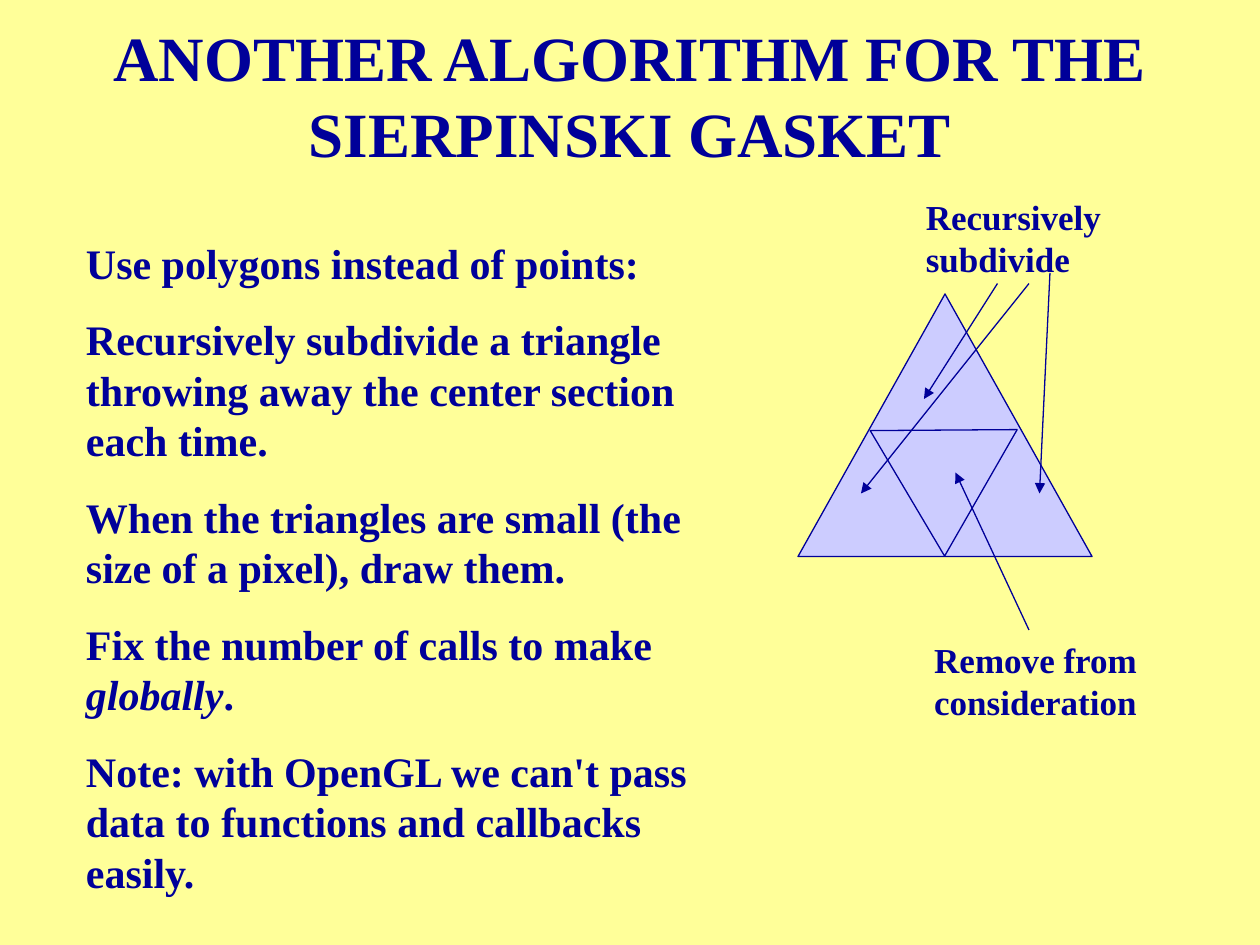
from dataclasses import dataclass

from lxml.etree import SubElement
from pptx import Presentation
from pptx.dml.color import RGBColor
from pptx.enum.shapes import MSO_CONNECTOR, MSO_SHAPE
from pptx.enum.text import MSO_ANCHOR, PP_ALIGN
from pptx.oxml.ns import qn
from pptx.util import Pt


@dataclass(frozen=True)
class Theme:
    background: RGBColor = RGBColor(0xFF, 0xFF, 0x99)
    ink: RGBColor = RGBColor(0x00, 0x00, 0x99)
    triangle: RGBColor = RGBColor(0xCC, 0xCC, 0xFF)
    font: str = "Times New Roman"
    title: float = 36
    body: float = 24
    label: float = 20
    line: float = 0.75


@dataclass(frozen=True)
class TextBlock:
    left: float
    top: float
    width: float
    height: float
    size: float
    paragraphs: tuple[str, ...]  # *asterisks* enclose italics
    gap: float = 0
    align: PP_ALIGN = PP_ALIGN.LEFT
    anchor: MSO_ANCHOR = MSO_ANCHOR.TOP
    wrap: bool = True


@dataclass(frozen=True)
class Triangle:
    left: float
    top: float
    width: float
    height: float
    rotation: float = 0


@dataclass(frozen=True)
class Arrow:
    x1: float
    y1: float
    x2: float
    y2: float


THEME = Theme()

TITLE = TextBlock(54, 18, 612, 72, THEME.title,
                  ("ANOTHER ALGORITHM FOR THE SIERPINSKI GASKET",),
                  align=PP_ALIGN.CENTER, anchor=MSO_ANCHOR.MIDDLE)
BODY = TextBlock(42, 132, 372, 384.5, THEME.body, (
    "Use polygons instead of points:",
    "Recursively subdivide a triangle throwing away the center section each time.",
    "When the triangles are small (the size of a pixel), draw them.",
    "Fix the number of calls to make *globally*.",
    "Note: with OpenGL we can't pass data to functions and callbacks easily.",
), gap=15)
SUBDIVIDE = TextBlock(522, 108, 144, 55.5, THEME.label, ("Recursively subdivide",))
REMOVE = TextBlock(526.75, 361.5, 135.5, 55.5, THEME.label,
                   ("Remove from", "consideration"), wrap=False)

TRIANGLES = (
    Triangle(456, 168, 168, 150),
    Triangle(497.5, 245.75, 84, 72, rotation=179.6),
)
SUBDIVIDE_ARROWS = (
    Arrow(570, 162, 528, 228),
    Arrow(600, 156, 594, 282),
    Arrow(588, 162, 492, 282),
)
REMOVE_ARROW = Arrow(588, 360, 546, 270)


def add_text(s, block: TextBlock) -> None:
    box = s.shapes.add_textbox(Pt(block.left), Pt(block.top),
                               Pt(block.width), Pt(block.height))
    tf = box.text_frame
    tf.word_wrap = block.wrap
    tf.vertical_anchor = block.anchor
    for i, text in enumerate(block.paragraphs):
        p = tf.add_paragraph() if i else tf.paragraphs[0]
        p.alignment = block.align
        if i:
            p.space_before = Pt(block.gap)
        for j, part in enumerate(text.split("*")):
            r = p.add_run()
            r.text = part
            r.font.name = THEME.font
            r.font.size = Pt(block.size)
            r.font.bold = True
            r.font.italic = j % 2 == 1
            r.font.color.rgb = THEME.ink


def add_triangle(s, t: Triangle) -> None:
    sp = s.shapes.add_shape(MSO_SHAPE.ISOSCELES_TRIANGLE, Pt(t.left), Pt(t.top),
                            Pt(t.width), Pt(t.height))
    sp.rotation = t.rotation
    sp.shadow.inherit = False
    sp.fill.solid()
    sp.fill.fore_color.rgb = THEME.triangle
    sp.line.color.rgb = THEME.ink
    sp.line.width = Pt(THEME.line)


def add_arrow(s, a: Arrow) -> None:
    c = s.shapes.add_connector(MSO_CONNECTOR.STRAIGHT,
                               Pt(a.x1), Pt(a.y1), Pt(a.x2), Pt(a.y2))
    c.line.color.rgb = THEME.ink
    c.line.width = Pt(THEME.line)
    SubElement(c.line._get_or_add_ln(), qn("a:tailEnd"), type="triangle")
    SubElement(c._element.spPr, qn("a:effectLst"))


def main() -> None:
    prs = Presentation()
    prs.slide_width, prs.slide_height = Pt(720), Pt(540)
    s = prs.slides.add_slide(prs.slide_layouts[6])
    s.background.fill.solid()
    s.background.fill.fore_color.rgb = THEME.background

    # Title and explanation
    add_text(s, TITLE)
    add_text(s, BODY)

    # Gasket with its center section
    for triangle in TRIANGLES:
        add_triangle(s, triangle)

    # Labels and their arrows
    for arrow in SUBDIVIDE_ARROWS:
        add_arrow(s, arrow)
    add_text(s, SUBDIVIDE)
    add_arrow(s, REMOVE_ARROW)
    add_text(s, REMOVE)

    prs.save("out.pptx")


if __name__ == "__main__":
    main()
